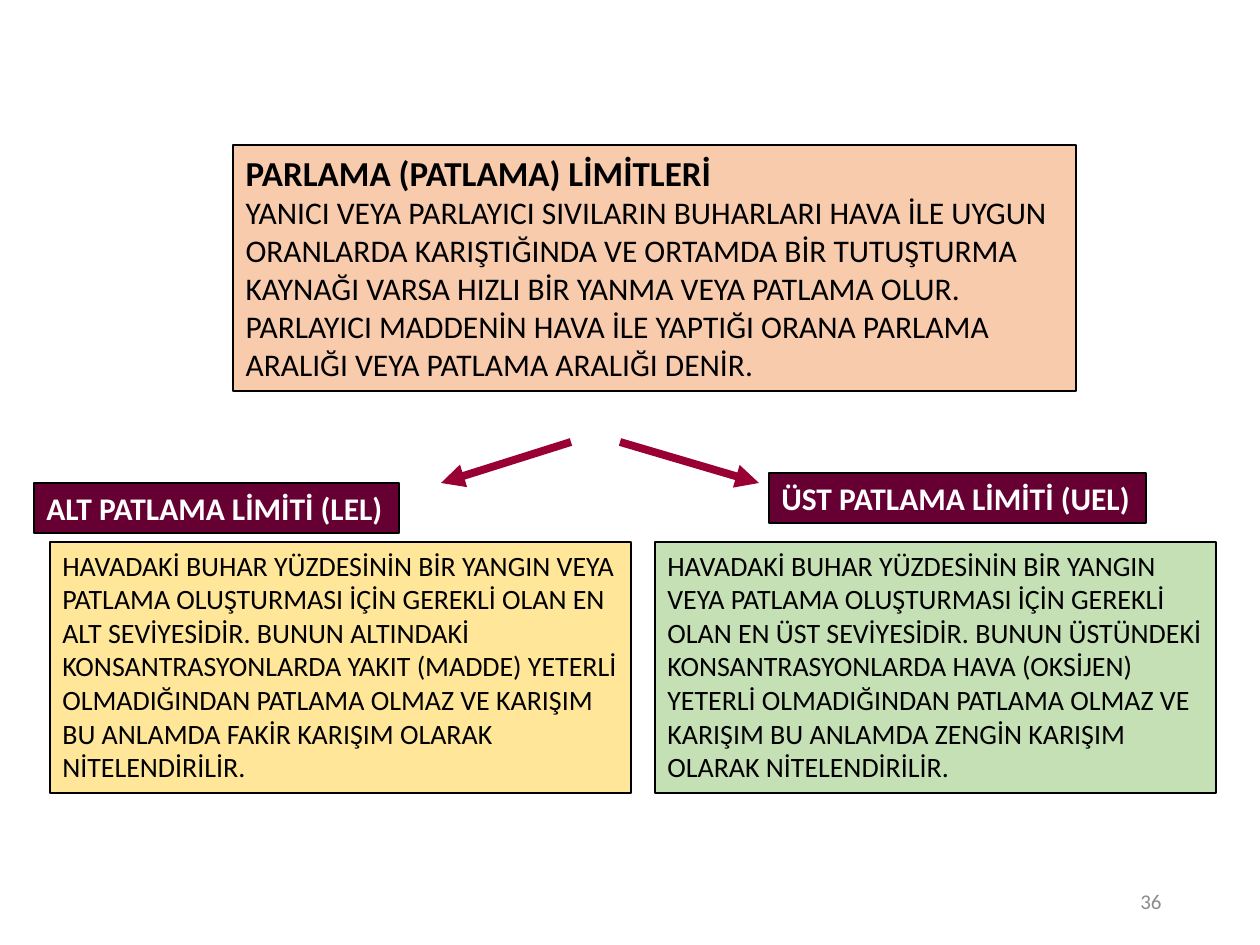
from lxml.etree import SubElement
from pptx import Presentation
from pptx.dml.color import RGBColor
from pptx.enum.shapes import MSO_CONNECTOR, MSO_SHAPE
from pptx.enum.text import MSO_ANCHOR, MSO_AUTO_SIZE, PP_ALIGN
from pptx.oxml.ns import qn
from pptx.util import Pt

PX = 914400 / 126
COLORS = {
    "black": "000000",
    "white": "FFFFFF",
    "gray": "8C8C8C",
    "peach": "F8CBAD",
    "yellow": "FFE699",
    "green": "C5E0B4",
    "plum": "660033",
    "crimson": "990033",
}


def emu(*lengths):
    return [round(length * PX) for length in lengths]


def format_paragraph(paragraph, size, color, bold=False, align=PP_ALIGN.LEFT):
    paragraph.alignment = align
    for run in paragraph.runs:
        run.font.name = "Calibri"
        run.font.size = Pt(size)
        run.font.bold = bold
        run.font.color.rgb = RGBColor.from_string(COLORS[color])


presentation = Presentation()
presentation.slide_width, presentation.slide_height = emu(1260, 945)
slide = presentation.slides.add_slide(presentation.slide_layouts[5])

definition = slide.shapes.title
definition.left, definition.top, definition.width, definition.height = emu(233, 145, 843, 246)
definition.fill.solid()
definition.fill.fore_color.rgb = RGBColor.from_string(COLORS["peach"])
definition.line.color.rgb = RGBColor.from_string(COLORS["black"])
definition.line.width = Pt(0.75)
text_frame = definition.text_frame
text_frame.word_wrap = True
text_frame.auto_size = MSO_AUTO_SIZE.SHAPE_TO_FIT_TEXT
text_frame.vertical_anchor = MSO_ANCHOR.TOP
text_frame.text = "PARLAMA (PATLAMA) LİMİTLERİ"
format_paragraph(text_frame.paragraphs[0], 20, "black", bold=True)
paragraph = text_frame.add_paragraph()
paragraph.text = (
    "YANICI VEYA PARLAYICI SIVILARIN BUHARLARI HAVA İLE UYGUN ORANLARDA "
    "KARIŞTIĞINDA VE ORTAMDA BİR TUTUŞTURMA KAYNAĞI VARSA HIZLI BİR YANMA "
    "VEYA PATLAMA OLUR. PARLAYICI MADDENİN HAVA İLE YAPTIĞI ORANA PARLAMA "
    "ARALIĞI VEYA PATLAMA ARALIĞI DENİR."
)
format_paragraph(paragraph, 18, "black")

lower_text = (
    "HAVADAKİ BUHAR YÜZDESİNİN BİR YANGIN VEYA PATLAMA OLUŞTURMASI İÇİN "
    "GEREKLİ OLAN EN ALT SEVİYESİDİR. BUNUN ALTINDAKİ KONSANTRASYONLARDA "
    "YAKIT (MADDE) YETERLİ OLMADIĞINDAN PATLAMA OLMAZ VE KARIŞIM BU ANLAMDA "
    "FAKİR KARIŞIM OLARAK NİTELENDİRİLİR."
)
upper_text = (
    "HAVADAKİ BUHAR YÜZDESİNİN BİR YANGIN VEYA PATLAMA OLUŞTURMASI İÇİN "
    "GEREKLİ OLAN EN ÜST SEVİYESİDİR. BUNUN ÜSTÜNDEKİ KONSANTRASYONLARDA "
    "HAVA (OKSİJEN) YETERLİ OLMADIĞINDAN PATLAMA OLMAZ VE KARIŞIM BU ANLAMDA "
    "ZENGİN KARIŞIM OLARAK NİTELENDİRİLİR."
)
boxes = [
    (50, 542, 581, 251, "yellow", lower_text, 16, "black", False),
    (655, 542, 561, 251, "green", upper_text, 16, "black", False),
    (34, 483, 365, 50, "plum", "ALT PATLAMA LİMİTİ (LEL)", 18, "white", True),
    (769, 473, 377, 50, "plum", "ÜST PATLAMA LİMİTİ (UEL)", 18, "white", True),
]
for left, top, width, height, fill, text, size, color, is_label in boxes:
    shape = slide.shapes.add_shape(MSO_SHAPE.RECTANGLE, *emu(left, top, width, height))
    shape.shadow.inherit = False
    shape.fill.solid()
    shape.fill.fore_color.rgb = RGBColor.from_string(COLORS[fill])
    shape.line.color.rgb = RGBColor.from_string(COLORS["black"])
    shape.line.width = Pt(0.75)
    text_frame = shape.text_frame
    text_frame.word_wrap = not is_label
    text_frame.auto_size = MSO_AUTO_SIZE.SHAPE_TO_FIT_TEXT
    text_frame.vertical_anchor = MSO_ANCHOR.TOP
    text_frame.text = text
    format_paragraph(text_frame.paragraphs[0], size, color, bold=is_label)

for start_x, end_x in [(620, 759), (571, 441)]:
    arrow = slide.shapes.add_connector(MSO_CONNECTOR.STRAIGHT, *emu(start_x, 442, end_x, 483))
    arrow.line.color.rgb = RGBColor.from_string(COLORS["crimson"])
    arrow.line.width = Pt(4.5)
    SubElement(arrow.line._get_or_add_ln(), qn("a:tailEnd"), type="triangle")
    SubElement(arrow._element.spPr, qn("a:effectLst"))

page_number = slide.shapes.add_textbox(*emu(890, 876, 284, 50))
page_number.text_frame.word_wrap = True
page_number.text_frame.vertical_anchor = MSO_ANCHOR.MIDDLE
page_number.text_frame.text = "36"
format_paragraph(page_number.text_frame.paragraphs[0], 12, "gray", align=PP_ALIGN.RIGHT)

presentation.save("out.pptx")
